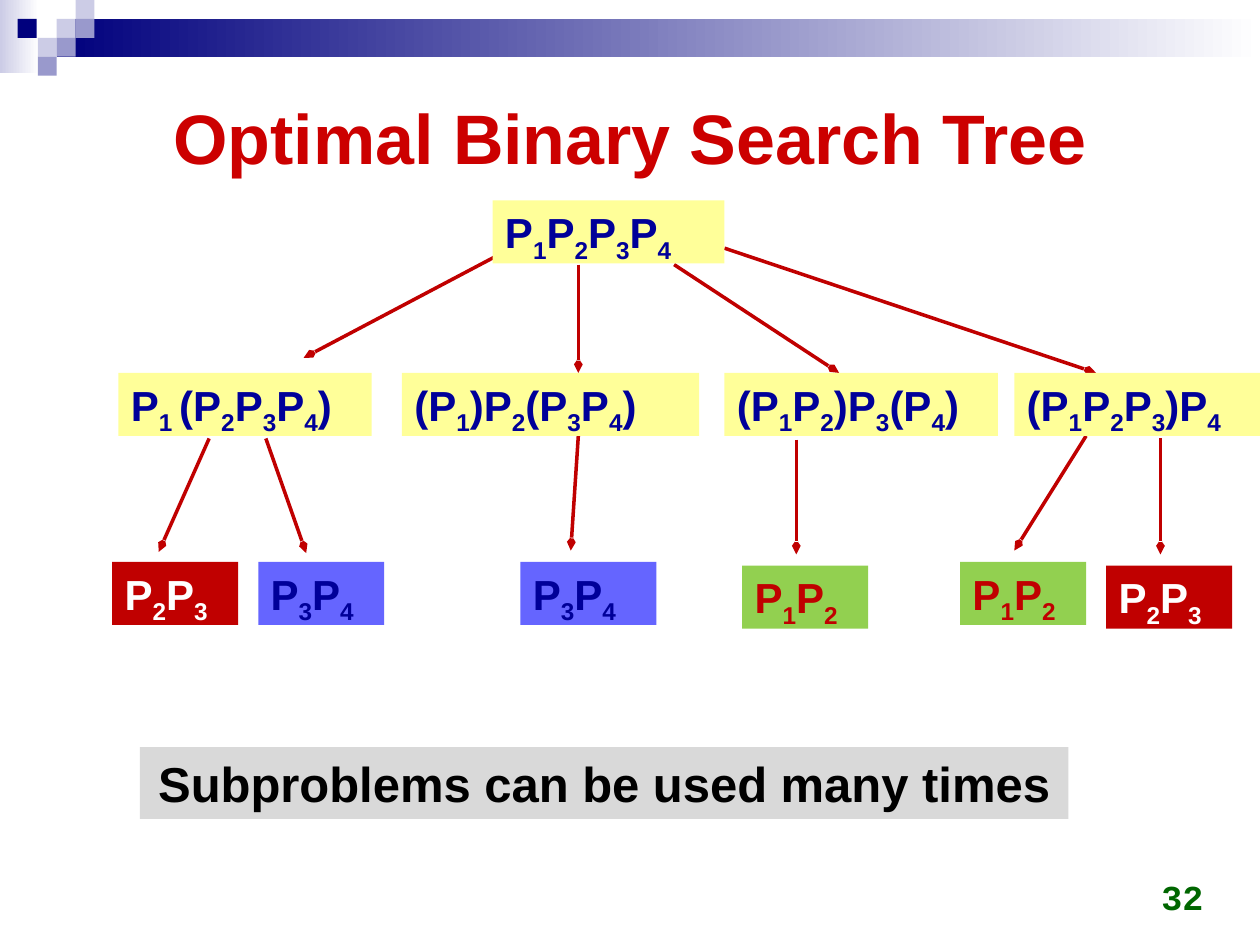
from dataclasses import dataclass
from itertools import groupby

from lxml import etree
from pptx import Presentation
from pptx.dml.color import RGBColor
from pptx.enum.shapes import MSO_CONNECTOR, MSO_SHAPE
from pptx.enum.text import MSO_ANCHOR, PP_ALIGN
from pptx.oxml.ns import qn
from pptx.shapes.autoshape import Shape
from pptx.slide import Slide
from pptx.text.text import Font
from pptx.util import Inches, Pt

RECTANGLE = MSO_SHAPE.RECTANGLE
STRAIGHT = MSO_CONNECTOR.STRAIGHT
CENTER, RIGHT = PP_ALIGN.CENTER, PP_ALIGN.RIGHT
MIDDLE, BOTTOM = MSO_ANCHOR.MIDDLE, MSO_ANCHOR.BOTTOM

WHITE = RGBColor(0xFF, 0xFF, 0xFF)
BLACK = RGBColor(0x00, 0x00, 0x00)
NAVY = RGBColor(0x00, 0x00, 0x7D)
LAVENDER = RGBColor(0xCC, 0xCC, 0xE6)
PERIWINKLE = RGBColor(0x99, 0x99, 0xCC)
TITLE_RED = RGBColor(0xCC, 0x00, 0x00)
DARK_RED = RGBColor(0xC0, 0x00, 0x00)
TEXT_BLUE = RGBColor(0x00, 0x00, 0x99)
YELLOW = RGBColor(0xFF, 0xFF, 0x99)
BLUE = RGBColor(0x65, 0x65, 0xFF)
GREEN = RGBColor(0x92, 0xD0, 0x50)
PAGE_GREEN = RGBColor(0x00, 0x66, 0x00)
GRAY = RGBColor(0xD9, 0xD9, 0xD9)

ROOT_TOP, SPLIT_TOP, LEAF_TOP, LOW_LEAF_TOP = 1.59, 2.96, 4.46, 4.49
NODE_HEIGHT = 0.5
TILE = 0.15


@dataclass(frozen=True)
class Node:
    label: str  # digits become subscripts
    left: float
    top: float
    width: float = 1.0
    fill: RGBColor = YELLOW
    color: RGBColor = TEXT_BLUE


@dataclass(frozen=True)
class Arrow:
    start: tuple[float, float]
    end: tuple[float, float]


NODES = [
    Node("P1P2P3P4", 3.91, ROOT_TOP, 1.84),
    Node("P1 (P2P3P4)", 0.94, SPLIT_TOP, 2.01),
    Node("(P1)P2(P3P4)", 3.19, SPLIT_TOP, 2.36),
    Node("(P1P2)P3(P4)", 5.75, SPLIT_TOP, 2.17),
    Node("(P1P2P3)P4", 8.05, SPLIT_TOP, 1.95),
    Node("P2P3", 0.89, LEAF_TOP, fill=DARK_RED, color=WHITE),
    Node("P3P4", 2.05, LEAF_TOP, fill=BLUE),
    Node("P3P4", 4.13, LEAF_TOP, 1.08, BLUE),
    Node("P1P2", 5.89, LOW_LEAF_TOP, fill=GREEN, color=DARK_RED),
    Node("P1P2", 7.62, LEAF_TOP, fill=GREEN, color=DARK_RED),
    Node("P2P3", 8.78, LOW_LEAF_TOP, fill=DARK_RED, color=WHITE),
]

ARROWS = [
    Arrow((4.02, 1.99), (2.41, 2.84)),
    Arrow((4.59, 2.1), (4.59, 2.96)),
    Arrow((5.35, 2.1), (6.66, 2.96)),
    Arrow((5.75, 1.97), (8.7, 2.96)),
    Arrow((1.66, 3.48), (1.26, 4.38)),
    Arrow((2.11, 3.48), (2.43, 4.39)),
    Arrow((4.59, 3.46), (4.53, 4.37)),
    Arrow((6.32, 3.49), (6.32, 4.4)),
    Arrow((8.62, 3.46), (8.05, 4.37)),
    Arrow((9.21, 3.48), (9.21, 4.4)),
]

# Left, top and colour of each small square in the header
TILES = [
    (0.45, 0.15, LAVENDER), (0.6, 0, LAVENDER), (0.6, 0.15, PERIWINKLE),
    (0.3, 0.3, LAVENDER), (0.14, 0.15, NAVY), (0.45, 0.3, PERIWINKLE),
    (0.3, 0.45, PERIWINKLE),
]


def style_font(font: Font, size: float, color: RGBColor, name: str = "Arial") -> None:
    font.name, font.size, font.bold = name, Pt(size), True
    font.color.rgb = color


def add_rectangle(slide: Slide, left: float, top: float, width: float, height: float,
                  *colors: RGBColor) -> Shape:
    """Fill with one colour, or with a left-to-right gradient of two."""
    shape = slide.shapes.add_shape(
        RECTANGLE, Inches(left), Inches(top), Inches(width), Inches(height))
    shape.shadow.inherit = False
    shape.line.fill.background()
    if len(colors) == 1:
        shape.fill.solid()
        shape.fill.fore_color.rgb = colors[0]
    else:
        shape.fill.gradient()
        shape.fill.gradient_angle = 0
        for stop, color in zip(shape.fill.gradient_stops, colors):
            stop.color.rgb = color
    return shape


def add_text(slide: Slide, left: float, top: float, width: float, height: float) -> Shape:
    box = slide.shapes.add_textbox(
        Inches(left), Inches(top), Inches(width), Inches(height))
    box.text_frame.word_wrap = True
    return box


def add_node(slide: Slide, node: Node) -> None:
    box = add_text(slide, node.left, node.top, node.width, NODE_HEIGHT)
    box.fill.solid()
    box.fill.fore_color.rgb = node.fill
    paragraph = box.text_frame.paragraphs[0]
    for subscript, letters in groupby(node.label, lambda c: c.isdigit() or c == " "):
        run = paragraph.add_run()
        run.text = "".join(letters)
        style_font(run.font, 24, node.color)
        if subscript:
            run._r.get_or_add_rPr().set("baseline", "-25000")


def add_arrow(slide: Slide, arrow: Arrow) -> None:
    points = [Inches(value) for value in (*arrow.start, *arrow.end)]
    connector = slide.shapes.add_connector(STRAIGHT, *points)
    connector.line.color.rgb = DARK_RED
    connector.line.width = Pt(2)
    line = connector.line._get_or_add_ln()
    etree.SubElement(line, qn("a:tailEnd"), type="arrow", w="sm", len="med")
    etree.SubElement(connector._element.spPr, qn("a:effectLst"))


def main() -> None:
    presentation = Presentation()
    presentation.slide_width, presentation.slide_height = Inches(10), Inches(7.5)
    slide = presentation.slides.add_slide(presentation.slide_layouts[5])

    # Header decoration
    add_rectangle(slide, 0, 0, 0.31, 0.58, LAVENDER, WHITE)
    add_rectangle(slide, 0.45, 0.15, 9.55, 0.3, NAVY, WHITE)
    for left, top, color in TILES:
        add_rectangle(slide, left, top, TILE, TILE, color)

    # Title
    title = slide.shapes.title
    title.left, title.top = Inches(0.5), Inches(0.5)
    title.width, title.height = Inches(9), Inches(1.16)
    title.text_frame.text = "Optimal Binary Search Tree"
    title.text_frame.vertical_anchor = MIDDLE
    title.text_frame.paragraphs[0].alignment = CENTER
    style_font(title.text_frame.paragraphs[0].runs[0].font, 40, TITLE_RED)

    # Tree of subproblems
    for arrow in ARROWS:
        add_arrow(slide, arrow)
    for node in NODES:
        add_node(slide, node)

    # Conclusion
    conclusion = add_rectangle(slide, 1.11, 5.93, 7.37, 0.57, GRAY)
    conclusion.text_frame.text = "Subproblems can be used many times"
    conclusion.text_frame.word_wrap = False
    conclusion.text_frame.paragraphs[0].alignment = CENTER
    style_font(conclusion.text_frame.paragraphs[0].runs[0].font, 28, BLACK)

    # Page number
    page_number = add_text(slide, 7.32, 6.83, 2.33, 0.5)
    page_number.text_frame.text = "32"
    page_number.text_frame.vertical_anchor = BOTTOM
    page_number.text_frame.paragraphs[0].alignment = RIGHT
    style_font(page_number.text_frame.paragraphs[0].runs[0].font, 20, PAGE_GREEN, "Courier New")

    presentation.save("out.pptx")


if __name__ == "__main__":
    main()
